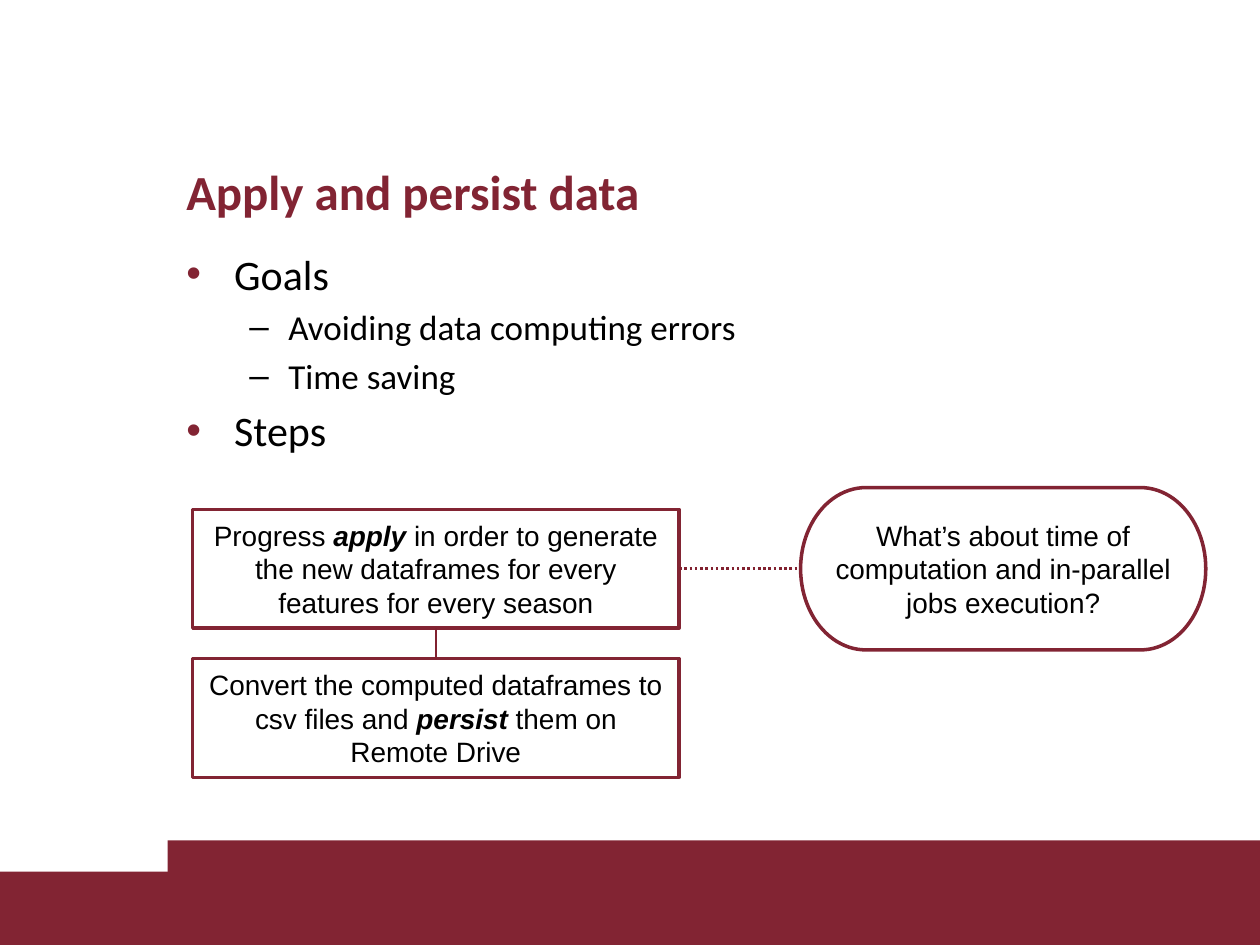
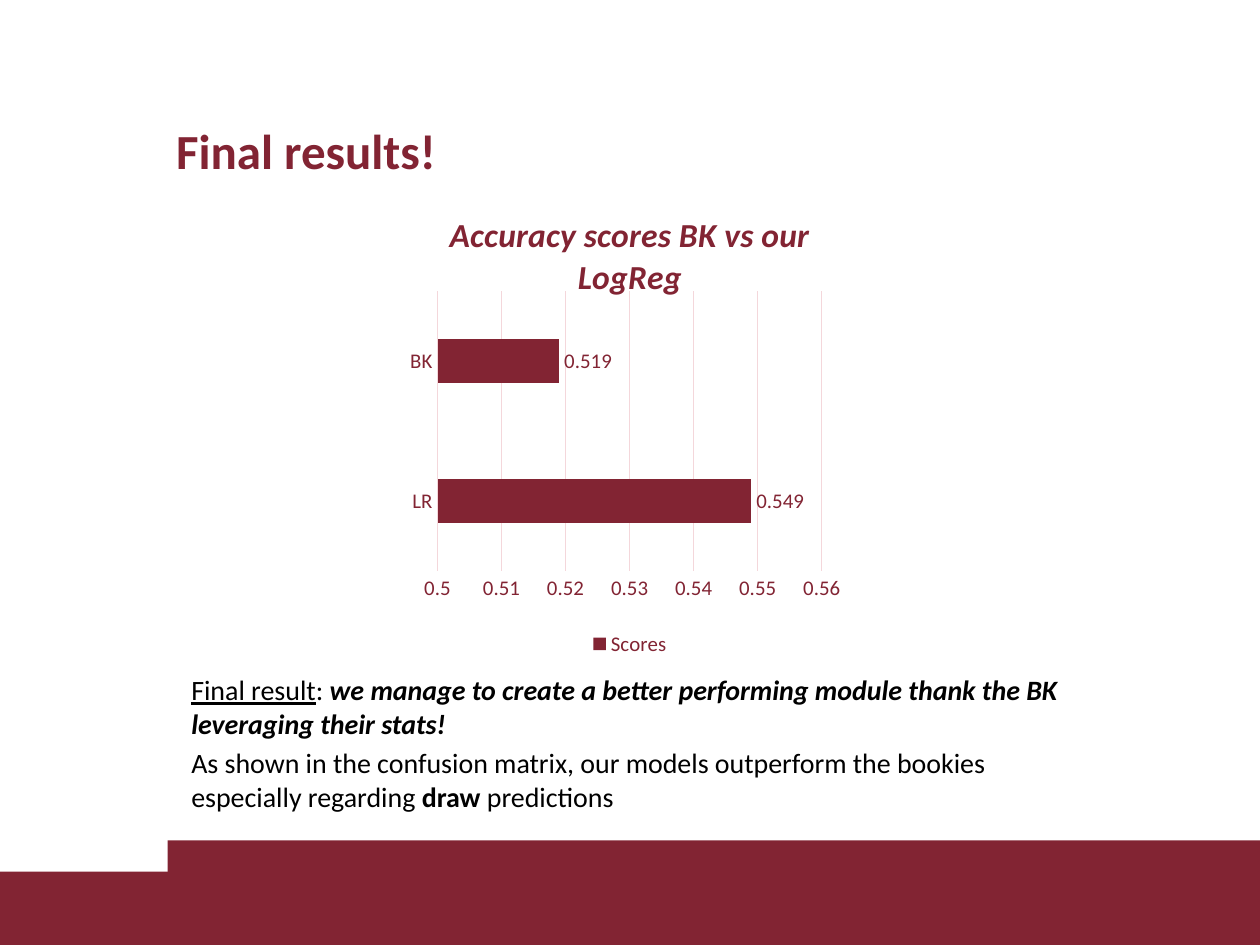
from collections import namedtuple
from lxml.etree import SubElement
from pptx import Presentation
from pptx.chart.data import CategoryChartData
from pptx.dml.color import RGBColor
from pptx.enum.chart import XL_CHART_TYPE as Kind
from pptx.enum.chart import XL_LEGEND_POSITION as Side
from pptx.enum.chart import XL_LABEL_POSITION as Spot
from pptx.enum.chart import XL_TICK_MARK as Tick
from pptx.enum.dml import MSO_LINE_DASH_STYLE as Dash
from pptx.enum.shapes import MSO_CONNECTOR as Link
from pptx.enum.shapes import MSO_SHAPE as Form
from pptx.enum.text import MSO_ANCHOR as Anchor
from pptx.enum.text import PP_ALIGN as Align
from pptx.oxml.ns import qn
from pptx.util import Inches, Pt

COLORS = {"wine": "822433", "link": "812130", "rose": "F4D7DB",
          "ink": "000000", "paper": "FFFFFF"}
COLS, ROWS = 100, 75
UNIT = Inches(10) // COLS
SANS, PLAIN = "Calibri", "Arial"


class Box(namedtuple("Box", "x y w h")):
    """An area in grid columns and rows."""

    def cut(self, x, y, w, h):
        """Return the inner area given by shares of this one."""
        return Box(self.x + x * self.w, self.y + y * self.h,
                   w * self.w, h * self.h)

    def place(self):
        return [round(n * UNIT) for n in self]


def tint(name):
    return RGBColor.from_string(COLORS[name])


def style(font, size, color="ink", name=SANS, bold=None):
    font.size, font.name, font.bold = Pt(size), name, bold
    font.color.rgb = tint(color)


def write(para, runs):
    """Add runs; each is (text, flags), flags being any of b, i and u."""
    for text, flags in runs:
        run = para.add_run()
        run.text = text
        for flag, trait in zip("biu", ("bold", "italic", "underline")):
            if flag in flags:
                setattr(run.font, trait, True)


def add_text(slide, box, paras, size, color="ink", bold=None):
    frame = slide.shapes.add_textbox(*box.place()).text_frame
    frame.word_wrap = True
    for i, runs in enumerate(paras):
        para = frame.add_paragraph() if i else frame.paragraphs[0]
        style(para.font, size, color, bold=bold)
        if i:
            para.space_before = Pt(size * 0.2)
        write(para, runs)
    return frame


def add_shape(slide, box, form, fill):
    shape = slide.shapes.add_shape(form, *box.place())
    shape.shadow.inherit = False
    shape.fill.solid()
    shape.fill.fore_color.rgb = tint(fill)
    shape.line.fill.background()
    return shape


def add_bands(slide, box):
    for area in (box.cut(0, 0.3, 1, 0.7), box.cut(0.133, 0, 0.867, 1)):
        add_shape(slide, area, Form.RECTANGLE, "wine")


def add_page(deck, title, box):
    slide = deck.slides.add_slide(deck.slide_layouts[6])
    add_bands(slide, Box(0, 66.7, COLS, 8.3))
    add_text(slide, box, [[(title, "")]], 28, "wine", True)
    return slide


def add_bullets(slide, box, items):
    """Fill the box with (level, text) items."""
    looks = [(24, 0.38, 0.38, "•"), (20, 0.81, 0.31, "–")]
    frame = add_text(slide, box, [[(text, "")] for _, text in items], 24)
    for i, (para, (level, _)) in enumerate(zip(frame.paragraphs, items)):
        size, left, hang, mark = looks[level]
        para.level = level
        para.font.size = Pt(size)
        if i:
            para.space_before = Pt(size * 0.2)
        props = para._p.get_or_add_pPr()
        props.set("marL", str(Inches(left)))
        props.set("indent", str(-Inches(hang)))
        tail = props.find(qn("a:defRPr"))
        shade = SubElement(props, qn("a:buClr"))
        hue = COLORS["ink" if level else "wine"]
        SubElement(shade, qn("a:srgbClr"), val=hue)
        face = SubElement(props, qn("a:buFont"), typeface=PLAIN)
        sign = SubElement(props, qn("a:buChar"), char=mark)
        if tail is not None:
            for node in (shade, face, sign):
                tail.addprevious(node)


def add_node(slide, box, form, runs):
    node = add_shape(slide, box, form, "paper")
    node.line.color.rgb = tint("wine")
    node.line.width = Pt(2)
    frame = node.text_frame
    frame.word_wrap = True
    frame.vertical_anchor = Anchor.MIDDLE
    para = frame.paragraphs[0]
    para.alignment = Align.CENTER
    style(para.font, 16, name=PLAIN)
    write(para, runs)
    return node


def join(slide, start, out, end, into, dash=None):
    """Link two nodes at the given connection sites."""
    line = slide.shapes.add_connector(Link.STRAIGHT, 0, 0, 0, 0)
    line.begin_connect(start, out)
    line.end_connect(end, into)
    line.line.color.rgb = tint("link")
    line.line.width = Pt(1.5)
    if dash:
        line.line.dash_style = dash
    SubElement(line._element.spPr, qn("a:effectLst"))


def add_flow(slide, box):
    """Draw two stacked steps and a question beside the first."""
    wide, tall, ask = 0.48, 0.41, 0.56
    first = add_node(
        slide, box.cut(0, (ask - tall) / 2, wide, tall), Form.RECTANGLE,
        [("Progress ", ""), ("apply", "bi"),
         (" in order to generate the new dataframes for every features "
          "for every season", "")])
    second = add_node(
        slide, box.cut(0, 1 - tall, wide, tall), Form.RECTANGLE,
        [("Convert the computed dataframes to csv files and ", ""),
         ("persist", "bi"), (" them on Remote Drive", "")])
    query = add_node(
        slide, box.cut(0.6, 0, 0.4, ask), Form.FLOWCHART_TERMINATOR,
        [("What’s about time of computation and in-parallel jobs "
          "execution?", "")])
    top, left, bottom, right = range(4)
    join(slide, first, right, query, left, Dash.ROUND_DOT)
    join(slide, first, bottom, second, top)


def set_plot(chart, **shares):
    """Fix the inner plot area by shares of the chart."""
    area = chart._chartSpace.chart.plotArea
    for old in area.findall(qn("c:layout")):
        area.remove(old)
    layout = SubElement(area, qn("c:layout"))
    area.insert(0, layout)
    manual = SubElement(layout, qn("c:manualLayout"))
    marks = {"layoutTarget": "inner", "xMode": "edge", "yMode": "edge"}
    for tag, val in {**marks, **shares}.items():
        SubElement(manual, qn("c:" + tag), val=str(val))


def add_scores(slide, box):
    data = CategoryChartData()
    data.categories = ["LR", "BK"]
    data.add_series("Scores", [0.549, 0.519])
    chart = slide.shapes.add_chart(
        Kind.BAR_CLUSTERED, *box.place(), data).chart
    style(chart.font, 11.9, "wine")
    set_plot(chart, x=0.165, y=0.217, w=0.669, h=0.591)

    chart.has_title = True
    para = chart.chart_title.text_frame.paragraphs[0]
    style(para.font, 19.2, "wine", bold=True)
    para.font.italic = True
    write(para, [("Accuracy scores BK vs our LogReg", "bi")])
    chart.has_legend = True
    chart.legend.position = Side.BOTTOM
    chart.legend.include_in_layout = False

    names, scale = chart.category_axis, chart.value_axis
    for axis in (names, scale):
        axis.major_tick_mark = axis.minor_tick_mark = Tick.NONE
    names.format.line.color.rgb = tint("rose")
    scale.format.line.fill.background()
    scale.minimum_scale, scale.maximum_scale = 0.5, 0.56
    scale.major_unit = 0.01
    grid = scale.major_gridlines.format.line
    grid.color.rgb = tint("rose")
    grid.width = names.format.line.width = Pt(0.75)

    plot = chart.plots[0]
    plot.gap_width, plot.vary_by_categories = 219, False
    fill = plot.series[0].format.fill
    fill.solid()
    fill.fore_color.rgb = tint("wine")
    plot.has_data_labels = True
    labels = plot.data_labels
    labels.show_value = True
    labels.position = Spot.OUTSIDE_END
    style(labels.font, 11.9, "wine")


def persist_page(deck):
    slide = add_page(deck, "Apply and persist data",
                     Box(13.8, 12.3, 81.1, 5.5))
    add_bullets(slide, Box(13.8, 19.2, 81.1, 19.9),
                [(0, "Goals"), (1, "Avoiding data computing errors"),
                 (1, "Time saving"), (0, "Steps")])
    add_flow(slide, Box(15.3, 38.7, 80.4, 23))


def results_page(deck):
    slide = add_page(deck, "Final results!", Box(13, 9.1, 81.1, 5.5))
    add_scores(slide, Box(27.2, 15, 45.6, 37.5))
    add_text(slide, Box(14.2, 52.9, 71.7, 9.5), [
        [("Final result", "u"), (": ", ""),
         ("we manage to create a better performing module thank the BK "
          "leveraging their stats!", "bi")],
        [("As shown in the confusion matrix, our models outperform the "
          "bookies especially regarding ", ""),
         ("draw ", "b"), ("predictions", "")]], 16)


def main():
    deck = Presentation()
    deck.slide_width, deck.slide_height = COLS * UNIT, ROWS * UNIT
    persist_page(deck)
    results_page(deck)
    deck.save("out.pptx")


if __name__ == "__main__":
    main()
